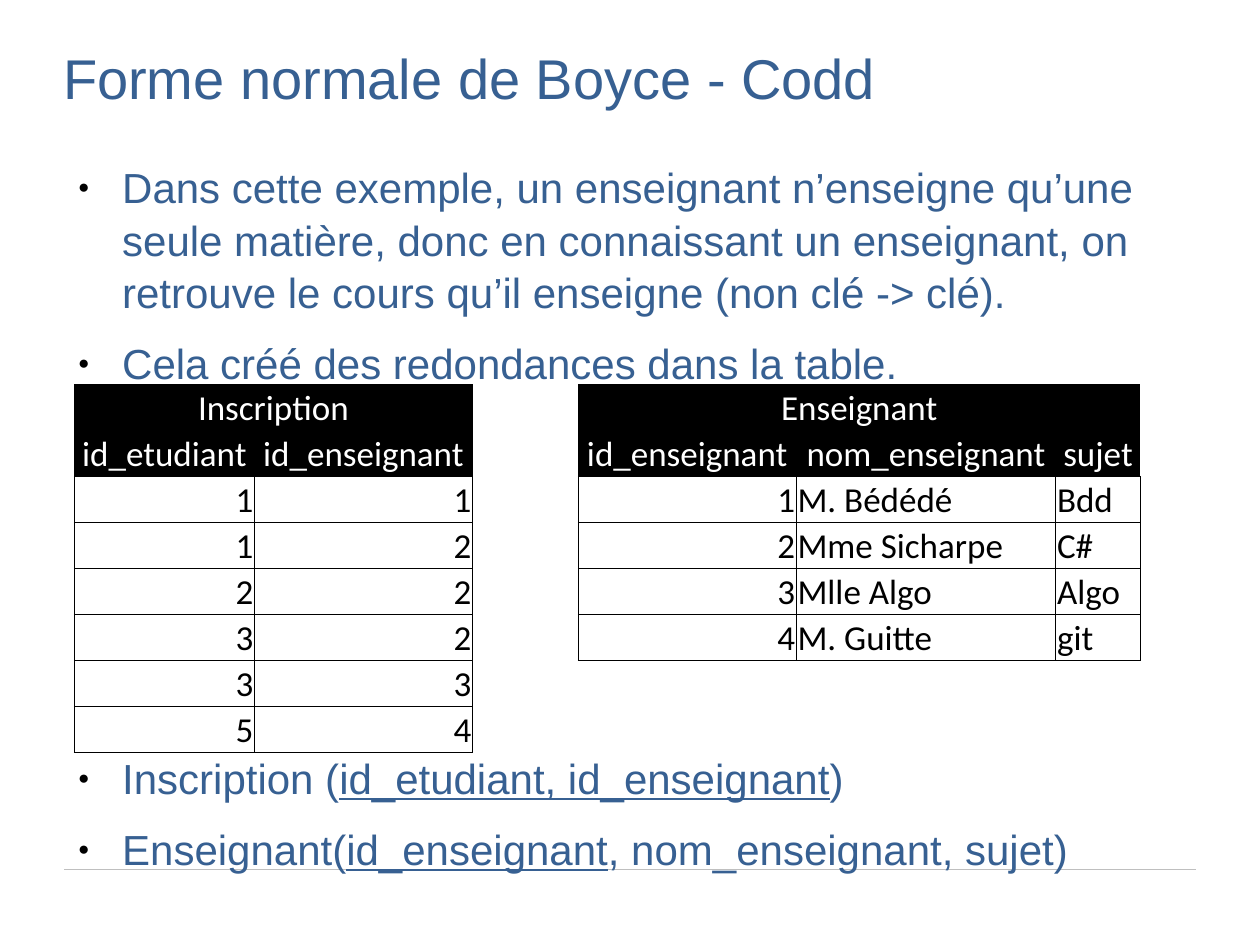
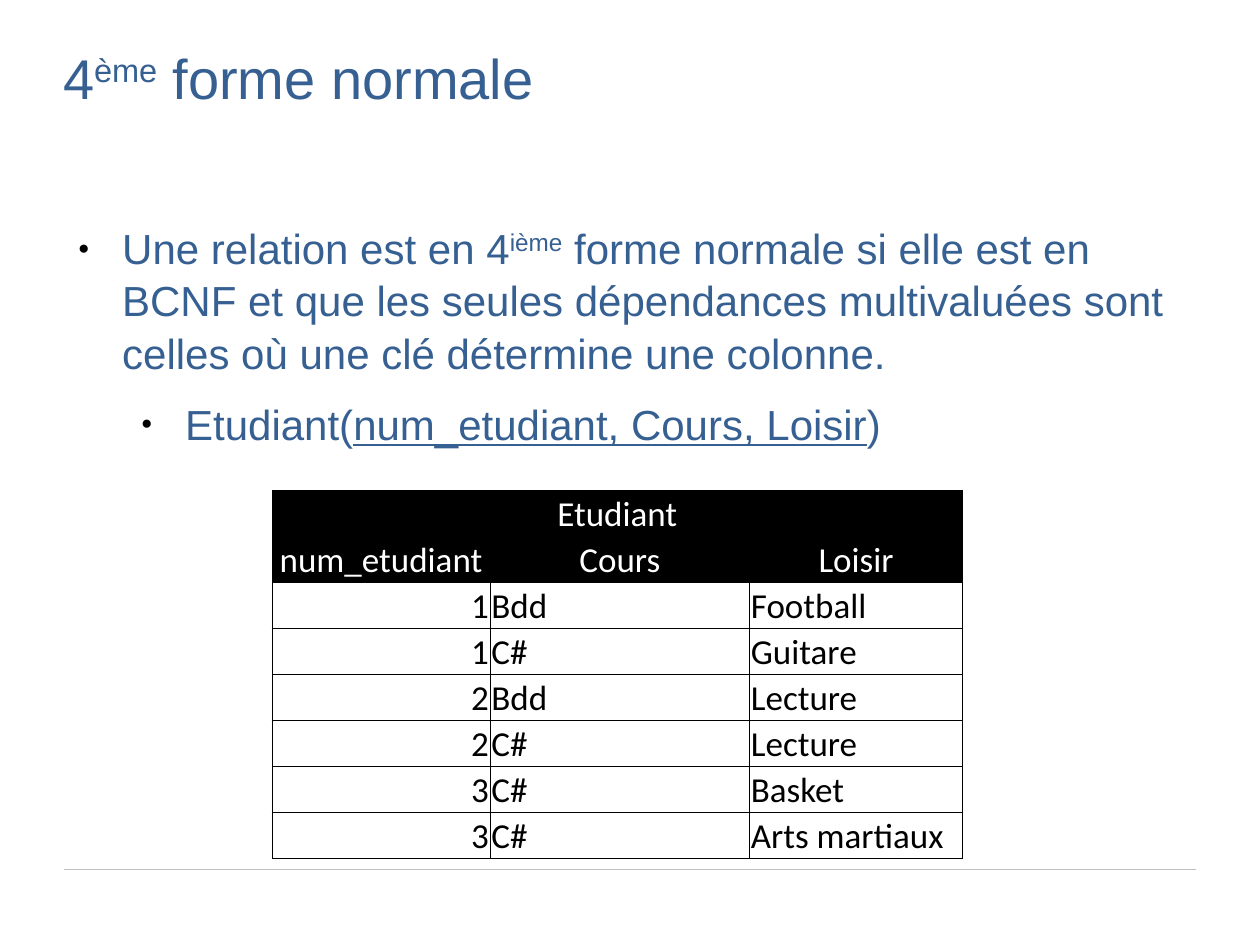
from lxml.etree import SubElement
from pptx import Presentation
from pptx.dml.color import RGBColor as Rgb
from pptx.enum.shapes import MSO_CONNECTOR as Connector
from pptx.enum.text import MSO_ANCHOR as Anchor, PP_ALIGN as Align
from pptx.oxml.ns import qn
from pptx.util import Inches, Pt

COLOURS = {"text": "376092", "rule": "BFBFBF", "ink": "000000", "paper": "FFFFFF"}
WIDTH, HEIGHT = 10, 7.5
MARGIN = 0.05 * WIDTH
TITLE_TOP, TITLE_HEIGHT = 0.04 * HEIGHT, 1.25
BODY_BOTTOM = 6.7
RULE_Y = 0.92 * HEIGHT
ROW_HEIGHT = 0.365
BODY_SIZE, PARA_GAP, LEADING = 24, 10.6, 1.04
BODY_PITCH = BODY_SIZE * 1.15 * LEADING + PARA_GAP
NO_GRID_STYLE = "{2D5ABB26-0587-4C30-8999-92F81FD0307C}"

# A span is (text, mark); a bullet is (level, lines skipped above, spans).
# A table is a list of groups set side by side, with an empty column between them.
SLIDES = [
    {
        "title": [("Forme normale de Boyce - Codd", None)],
        "body_top": 1.27,
        "bullets": [
            (0, 0, [("Dans cette exemple, un enseignant n’enseigne qu’une seule matière, "
                     "donc en connaissant un enseignant, on retrouve le cours qu’il "
                     "enseigne (non clé -> clé).", None)]),
            (0, 0, [("Cela créé des redondances dans la table.", None)]),
            (0, 5, [("Inscription (", None), ("id_etudiant, id_enseignant", "key"),
                    (")", None)]),
            (0, 0, [("Enseignant(", None), ("id_enseignant", "key"),
                    (", nom_enseignant, sujet)", None)]),
        ],
        "table_at": (0.59, 3.05),
        "gap": 0.84,
        "groups": [
            {"name": "Inscription",
             "columns": [("id_etudiant", 1.43), ("id_enseignant", 1.73)],
             "rows": ["1 1".split(), "1 2".split(), "2 2".split(),
                      "3 2".split(), "3 3".split(), "5 4".split()]},
            {"name": "Enseignant",
             "columns": [("id_enseignant", 1.73), ("nom_enseignant", 2.06),
                         ("sujet", 0.67)],
             "rows": [("1", "M. Bédédé", "Bdd"), ("2", "Mme Sicharpe", "C#"),
                      ("3", "Mlle Algo", "Algo"), ("4", "M. Guitte", "git")]},
        ],
    },
    {
        "title": [("4", None), ("ème", "super"), (" forme normale", None)],
        "body_top": 1.75,
        "bullets": [
            (0, 0, [("Une relation est en 4", None), ("ième", "super"),
                    (" forme normale si elle est en BCNF et que les seules dépendances "
                     "multivaluées sont celles où une clé détermine une colonne.", None)]),
            (1, 0, [("Etudiant(", None), ("num_etudiant, Cours, Loisir", "key"),
                    (")", None)]),
        ],
        "table_at": (2.16, 3.89),
        "gap": 0,
        "groups": [
            {"name": "Etudiant",
             "columns": [("num_etudiant", 1.73), ("Cours", 2.06), ("Loisir", 1.69)],
             "rows": [("1", "Bdd", "Football"), ("1", "C#", "Guitare"),
                      ("2", "Bdd", "Lecture"), ("2", "C#", "Lecture"),
                      ("3", "C#", "Basket"), ("3", "C#", "Arts martiaux")]},
        ],
    },
]


def colour(name):
    """Return a palette colour."""
    return Rgb.from_string(COLOURS[name])


def assign(target, values):
    """Set every attribute in the dict of values."""
    for name, value in values.items():
        setattr(target, name, value)


def add_span(para, text, size, font="Arial", ink="text", mark=None):
    """Add a run, underlined as a key or raised when marked so."""
    span = para.add_run()
    span.text = text
    assign(span.font, {"name": font, "size": Pt(size)})
    span.font.color.rgb = colour(ink)
    if mark == "key":
        span.font.underline = True
    elif mark == "super":
        span.font._element.set("baseline", "30000")


def reset_frame(frame):
    """Wrap the text from the top left corner, without insets."""
    assign(frame, {"word_wrap": True, "vertical_anchor": Anchor.TOP,
                   "margin_left": 0, "margin_right": 0,
                   "margin_top": 0, "margin_bottom": 0})


def add_title(page, spans):
    """Place and fill the title placeholder."""
    title = page.shapes.title
    assign(title, {"left": Inches(MARGIN), "top": Inches(TITLE_TOP),
                   "width": Inches(WIDTH - 2 * MARGIN),
                   "height": Inches(TITLE_HEIGHT)})
    reset_frame(title.text_frame)
    para = title.text_frame.paragraphs[0]
    assign(para, {"alignment": Align.LEFT, "line_spacing": 1.08})
    for text, mark in spans:
        add_span(para, text, 32, mark=mark)


def set_bullet(para, level):
    """Give the paragraph a small black dot and a hanging indent."""
    props = para._p.get_or_add_pPr()
    props.set("marL", str(Inches(0.47 + 0.5 * level)))
    props.set("indent", str(Inches(-0.35)))
    ink = SubElement(props, qn("a:buClr"))
    SubElement(ink, qn("a:srgbClr"), val=COLOURS["ink"])
    SubElement(props, qn("a:buSzPct"), val="45000")
    SubElement(props, qn("a:buFont"), typeface="Arial")
    SubElement(props, qn("a:buChar"), char="●")


def add_bullets(page, top, bullets):
    """Add the body text, leaving room for a table where lines are skipped."""
    box = page.shapes.add_textbox(Inches(MARGIN), Inches(top),
                                  Inches(WIDTH - 2 * MARGIN),
                                  Inches(BODY_BOTTOM - top))
    frame = box.text_frame
    reset_frame(frame)
    for index, (level, skipped, spans) in enumerate(bullets):
        para = frame.add_paragraph() if index else frame.paragraphs[0]
        assign(para, {"level": level, "line_spacing": LEADING,
                      "space_before": Pt(skipped * BODY_PITCH),
                      "space_after": Pt(PARA_GAP)})
        set_bullet(para, level)
        for text, mark in spans:
            add_span(para, text, BODY_SIZE, mark=mark)


def lay_out(groups, gap):
    """Return column widths, cell texts by (row, column) and name spans."""
    widths, cells, spans = [], {}, []
    for group in groups:
        if widths:
            widths.append(gap)
        first = len(widths)
        spans.append((first, first + len(group["columns"]) - 1))
        cells[0, first] = group["name"]
        widths += [width for _, width in group["columns"]]
        lines = [[name for name, _ in group["columns"]], *group["rows"]]
        for row, line in enumerate(lines, 1):
            for offset, text in enumerate(line):
                cells[row, first + offset] = text
    return widths, cells, spans


def set_borders(cell, row, column, is_data):
    """Draw thin lines on each edge that touches a data cell."""
    props = cell._tc.get_or_add_tcPr()
    sides = {"lnL": (0, -1), "lnR": (0, 1), "lnT": (-1, 0), "lnB": (1, 0)}
    for side, (down, right) in sides.items():
        line = SubElement(props, qn("a:" + side), w=str(Pt(0.5)))
        if is_data(row, column) or is_data(row + down, column + right):
            fill = SubElement(line, qn("a:solidFill"))
            SubElement(fill, qn("a:srgbClr"), val=COLOURS["ink"])
        else:
            SubElement(line, qn("a:noFill"))


def add_grid(page, at, groups, gap):
    """Add the table with black headings and outlined data cells."""
    widths, cells, spans = lay_out(groups, gap)
    rows = 2 + max(len(group["rows"]) for group in groups)
    frame = page.shapes.add_table(rows, len(widths), Inches(at[0]), Inches(at[1]),
                                  Inches(sum(widths)), Inches(rows * ROW_HEIGHT))
    table = frame.table
    assign(table, {"first_row": False, "horz_banding": False})
    table._tbl.tblPr.find(qn("a:tableStyleId")).text = NO_GRID_STYLE
    for column, width in zip(table.columns, widths):
        column.width = Inches(width)
    for line in table.rows:
        line.height = Inches(ROW_HEIGHT)

    def is_data(row, column):
        """Tell whether a place holds a value below the headings."""
        return row > 1 and (row, column) in cells

    for row in range(rows):
        for column in range(len(widths)):
            cell = table.cell(row, column)
            assign(cell, {"margin_left": Inches(0.01), "margin_right": Inches(0.01),
                          "margin_top": Inches(0.01), "margin_bottom": 0,
                          "vertical_anchor": Anchor.BOTTOM})
            set_borders(cell, row, column, is_data)
            heading = row < 2 and any(a <= column <= b for a, b in spans)
            if heading:
                cell.fill.solid()
                cell.fill.fore_color.rgb = colour("ink")
            else:
                cell.fill.background()
            text = cells.get((row, column))
            if text:
                para = cell.text_frame.paragraphs[0]
                para.alignment = (Align.CENTER if heading else
                                  Align.RIGHT if text.isdigit() else Align.LEFT)
                add_span(para, text, 20, "Calibri", "paper" if heading else "ink")
    for first, last in spans:
        table.cell(0, first).merge(table.cell(0, last))


def add_rule(page):
    """Draw the bottom rule and move it to the layout that all slides share."""
    rule = page.shapes.add_connector(Connector.STRAIGHT, Inches(0.51), Inches(RULE_Y),
                                     Inches(WIDTH - 0.51), Inches(RULE_Y))
    rule.line.color.rgb = colour("rule")
    rule.line.width = Pt(0.74)
    SubElement(rule._element.spPr, qn("a:effectLst"))
    page.slide_layout.shapes._spTree.append(rule._element)


def build():
    """Build and save the deck."""
    deck = Presentation()
    assign(deck, {"slide_width": Inches(WIDTH), "slide_height": Inches(HEIGHT)})
    title_only = deck.slide_layouts[5]
    for index, content in enumerate(SLIDES):
        page = deck.slides.add_slide(title_only)
        if index == 0:
            add_rule(page)
        add_title(page, content["title"])
        add_bullets(page, content["body_top"], content["bullets"])
        add_grid(page, content["table_at"], content["groups"], content["gap"])
    deck.save("out.pptx")


build()
